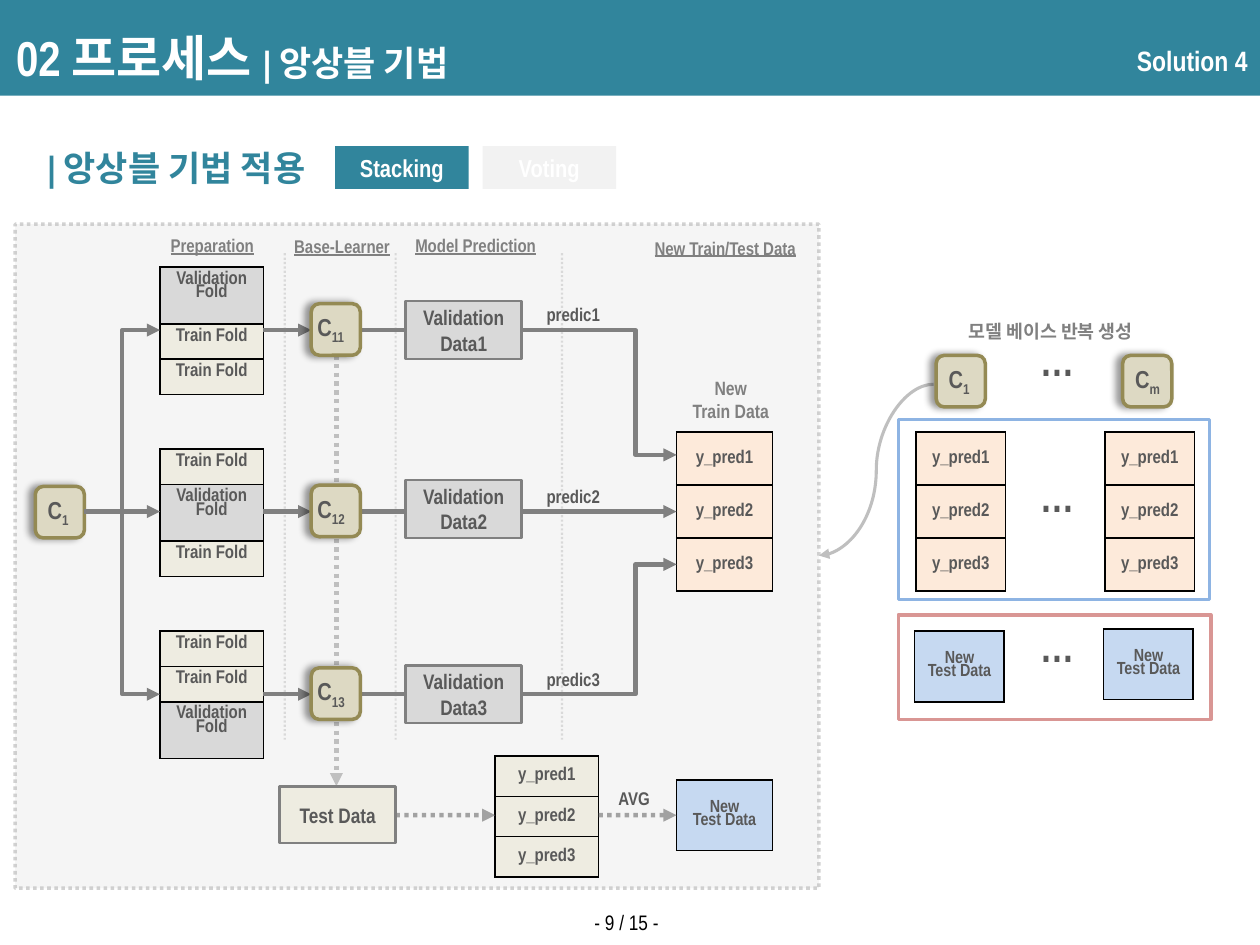
import pptx
import pptx.dml.color
import pptx.enum.dml
import pptx.enum.shapes
import pptx.enum.text
import pptx.oxml
import pptx.oxml.ns
import pptx.util

HUES = {
    "teal": "31859C", "white": "FFFFFF", "black": "000000", "pale": "F2F2F2",
    "silver": "BFBFBF", "gray": "808080", "ink": "595959", "fold": "D9D9D9",
    "cream": "EEECE1", "peach": "FDEADA", "sky": "C6D9F1", "blue": "8EB4E3",
    "rose": "D99694", "sand": "DDD9C3", "olive": "948A54",
}
FONT = "Arial Narrow"
ALIGN = {"l": pptx.enum.text.PP_ALIGN.LEFT, "c": pptx.enum.text.PP_ALIGN.CENTER,
         "r": pptx.enum.text.PP_ALIGN.RIGHT}
ANCHOR = {"t": pptx.enum.text.MSO_ANCHOR.TOP, "m": pptx.enum.text.MSO_ANCHOR.MIDDLE}
FORM = pptx.enum.shapes.MSO_SHAPE
LINK = pptx.enum.shapes.MSO_CONNECTOR
PREDS = ["y_pred1", "y_pred2", "y_pred3"]


def node(tag, inner="", **attrs):
    pairs = "".join(f' {key}="{val}"' for key, val in attrs.items())
    return pptx.oxml.parse_xml(
        f'<a:{tag} {pptx.oxml.ns.nsdecls("a")}{pairs}>{inner}</a:{tag}>')


def tint(name):
    return pptx.dml.color.RGBColor.from_string(HUES[name])


def fade(part, share):
    part.find(".//" + pptx.oxml.ns.qn("a:srgbClr")).append(node("alpha", val=share * 1000))


def write(frame, text, size=10.5, hue="ink", bold=True, under=False, align="c",
          pitch=None, tail="", small=None, base=0):
    for num, words in enumerate(text.split("\n")):
        para = frame.add_paragraph() if num else frame.paragraphs[0]
        para.alignment = ALIGN[align]
        if pitch:
            para.line_spacing = pitch
        for part, points, drop in ((words, size, 0), (tail, small or size, base)):
            if not part:
                continue
            run = para.add_run()
            run.text = part
            font = run.font
            font.name, font.size = FONT, pptx.util.Pt(points)
            font.bold, font.underline = bold, under
            font.color.rgb = tint(hue)
            if drop:
                run.font._element.set("baseline", str(drop * 1000))


class Deck:
    """Draw on one slide with a grid of 100 columns by 75 rows."""

    def __init__(self):
        self.file = pptx.Presentation()
        self.file.slide_width = pptx.util.Inches(10)
        self.file.slide_height = pptx.util.Inches(7.5)
        self.col = self.file.slide_width / 100
        self.row = self.file.slide_height / 75
        self.page = self.file.slides.add_slide(self.file.slide_layouts[6])

    def place(self, x, y, w, h):
        return (round(x * self.col), round(y * self.row),
                round(w * self.col), round(h * self.row))

    def ink(self, line, hue, width, dots=False):
        line.color.rgb = tint(hue)
        line.width = pptx.util.Pt(width)
        if dots:
            line.dash_style = pptx.enum.dml.MSO_LINE.ROUND_DOT

    def box(self, x, y, w, h, fill=None, line=None, width=2, dots=False,
            alpha=None, form=FORM.RECTANGLE, text="", **look):
        shape = self.page.shapes.add_shape(form, *self.place(x, y, w, h))
        if fill:
            shape.fill.solid()
            shape.fill.fore_color.rgb = tint(fill)
        else:
            shape.fill.background()
        if line:
            self.ink(shape.line, line, width, dots)
        else:
            shape.line.fill.background()
        shape.shadow.inherit = False
        if alpha:
            props = shape.element.spPr
            for tag in ("a:solidFill", "a:ln"):
                fade(props.find(pptx.oxml.ns.qn(tag)), alpha)
        if text:
            shape.text_frame.vertical_anchor = ANCHOR["m"]
            write(shape.text_frame, text, **look)
        return shape

    def label(self, x, y, w, h, text, wrap=False, anchor="t", turn=False, **look):
        shape = self.page.shapes.add_textbox(*self.place(x, y, w, h))
        frame = shape.text_frame
        frame.word_wrap = wrap
        frame.vertical_anchor = ANCHOR[anchor]
        write(frame, text, **look)
        if turn:
            shape.rotation = 270
            frame._txBody.bodyPr.set("vert", "eaVert")

    def link(self, x, y, to_x, to_y, kind=LINK.STRAIGHT, hue="gray", width=2.5,
             dots=False, alpha=None, head=True, bend=None):
        wire = self.page.shapes.add_connector(
            kind, *self.place(x, y, to_x, to_y))
        self.ink(wire.line, hue, width, dots)
        props = wire.element.spPr
        line = props.find(pptx.oxml.ns.qn("a:ln"))
        if alpha:
            fade(line, alpha)
        if head:
            line.append(node("tailEnd", type="triangle"))
        if bend:
            props.find(".//" + pptx.oxml.ns.qn("a:avLst")).append(
                node("gd", name="adj1", fmla=f"val {round(bend * 100000)}"))
        props.append(node("effectLst"))

    def table(self, x, y, w, rows, texts, fills, anchor="m", **look):
        frame = self.page.shapes.add_table(
            len(rows), 1, *self.place(x, y, w, sum(rows)))
        grid = frame.table
        grid.first_row = grid.horz_banding = False
        for num, (high, text, fill) in enumerate(zip(rows, texts, fills)):
            grid.rows[num].height = round(high * self.row)
            cell = grid.cell(num, 0)
            cell.margin_left = cell.margin_right = pptx.util.Inches(0.05)
            cell.vertical_anchor = ANCHOR[anchor]
            cell.fill.solid()
            cell.fill.fore_color.rgb = tint(fill)
            paint = f'<a:solidFill><a:srgbClr val="{HUES["black"]}"/></a:solidFill>'
            for spot, side in enumerate("LRTB"):
                cell._tc.tcPr.insert(spot, node("ln" + side, paint, w=12700))
            write(cell.text_frame, text, **look)

    def chip(self, x, y, sub, shift=0):
        shape = self.box(x, y, 3.9, 4.1, "sand", "olive", form=FORM.ROUNDED_RECTANGLE)
        glow = node("outerShdw",
                    '<a:srgbClr val="000000"><a:alpha val="40000"/></a:srgbClr>',
                    blurRad=50800, dist=38100, dir=10800000, algn="r", rotWithShape=0)
        shape.element.spPr.find(pptx.oxml.ns.qn("a:effectLst")).append(glow)
        self.label(x - shift, y + 0.2, 4.2, 3.4, "C", size=14, align="l",
                   tail=sub, base=-25)

    def test(self, x, y, w):
        self.table(x, y, w, [5.6], ["New\nTest Data"], ["sky"], size=10, pitch=0.8)


def head(deck):
    deck.box(0, 0, 100, 7.6, "teal")
    deck.label(0.3, 1.9, 78.6, 5.2, "02 프로세스 ", wrap=True, anchor="m", size=28,
               hue="white", align="l", tail="| 앙상블 기법", small=20)
    deck.label(81.9, 2.2, 18.1, 5.2, "Solution 4", wrap=True, anchor="m",
               size=16, hue="white", align="r")
    deck.label(46.2, 71.7, 7.6, 3, "- 9 / 15 -", size=12, hue="black", bold=False, align="l")
    deck.label(2.8, 11.1, 23.8, 4.4, "| 앙상블 기법 적용", size=20, hue="teal", align="l")
    for x, fill, text in ((26.6, "teal", "Stacking"), (38.3, "pale", "Voting")):
        deck.box(x, 11.6, 10.6, 3.4, fill, text=text, size=14, hue="white")


def flow(deck):
    deck.box(1.2, 17.8, 63.8, 52.7, "pale", "silver", dots=True, alpha=70)
    for x, y, w, text in ((12.5, 18.1, 8.7, "Preparation"),
                          (22.3, 18.2, 9.7, "Base-Learner"),
                          (31.9, 18.1, 11.7, "Model Prediction"),
                          (50.8, 18.3, 13.5, "New Train/Test Data")):
        deck.label(x, y, w, 2.8, text, hue="gray", under=True)
    for x in (22.6, 31.4, 44.6):
        deck.link(x, 20.1, x, 58.7, hue="silver", width=1.25, dots=True,
                  alpha=50, head=False)
    deck.link(26.7, 28.2, 26.7, 62.4, hue="silver", dots=True)
    deck.table(53.7, 34.3, 7.6, [4.2] * 3, PREDS, ["peach"] * 3)
    deck.label(53.9, 29.4, 8.2, 4.7, "New\nTrain Data", wrap=True, size=11, hue="gray")
    deck.chip(2.8, 38.6, "1")
    for num, (mid, data, goal) in enumerate(
            ((26.2, 23.9, 36.1), (40.6, 38.1, 40.6), (55.1, 52.8, 44.8))):
        rows, texts, fills = [2.8] * 3, ["Train Fold"] * 3, ["cream"] * 3
        rows[num], texts[num], fills[num] = 4.5, "Validation\nFold", "fold"
        deck.table(12.7, 21.2 + 14.45 * num, 8.2, rows, texts, fills,
                   anchor="t", pitch=0.8)
        kind = LINK.STRAIGHT if mid == goal else LINK.ELBOW
        bend = None if mid == goal else 0.87
        deck.link(6.7, 40.6, 12.7, mid, kind)
        deck.link(20.9, mid, 24.7, mid)
        deck.link(28.6, mid, 53.7, goal, kind, bend=bend)
        deck.chip(24.7, mid - 2.1, f"1{num + 1}", shift=0.5)
        deck.box(32.2, data, 9.2, 4.6, "fold", "gray", 1.5,
                 text=f"Validation\nData{num + 1}", size=12)
        deck.label(42.4, mid - 2.6, 6.3, 2.8, f"predic{num + 1}", align="l")
    deck.box(22.2, 62.4, 9.2, 4.5, "cream", "gray", 1.5, text="Test Data", size=12)
    deck.table(39.3, 60, 8.2, [3.2] * 3, PREDS, ["cream"] * 3)
    deck.test(53.7, 61.9, 7.6)
    for x, end in ((31.4, 39.3), (47.5, 53.7)):
        deck.link(x, 64.7, end, 64.7, dots=True, alpha=70)
    deck.label(48.1, 62, 4.6, 2.8, "AVG", align="l")


def stack(deck):
    deck.label(75.6, 24.9, 15.6, 2.8, "모델 베이스 반복 생성", hue="gray")
    deck.link(74.1, 30.5, 65, 44.1, LINK.CURVE, "silver", 1.75)
    deck.box(71.3, 33.3, 24.7, 14.3, line="blue")
    deck.box(71.3, 48.8, 24.8, 8.3, line="rose")
    for chip, sub, left, test, top in ((74.3, "1", 72.7, 72.6, 50.1),
                                       (89.1, "m", 87.7, 87.6, 49.9)):
        deck.chip(chip, 28.2, sub)
        deck.table(left, 34.3, 7.1, [4.2] * 3, PREDS, ["peach"] * 3)
        deck.test(test, top, 7.1)
    for y in (27.2, 38, 49.9):
        deck.label(80.4, y, 6.1, 3.8, "…", turn=True, size=24, align="l")


def main():
    deck = Deck()
    head(deck)
    flow(deck)
    stack(deck)
    deck.file.save("out.pptx")


if __name__ == "__main__":
    main()
